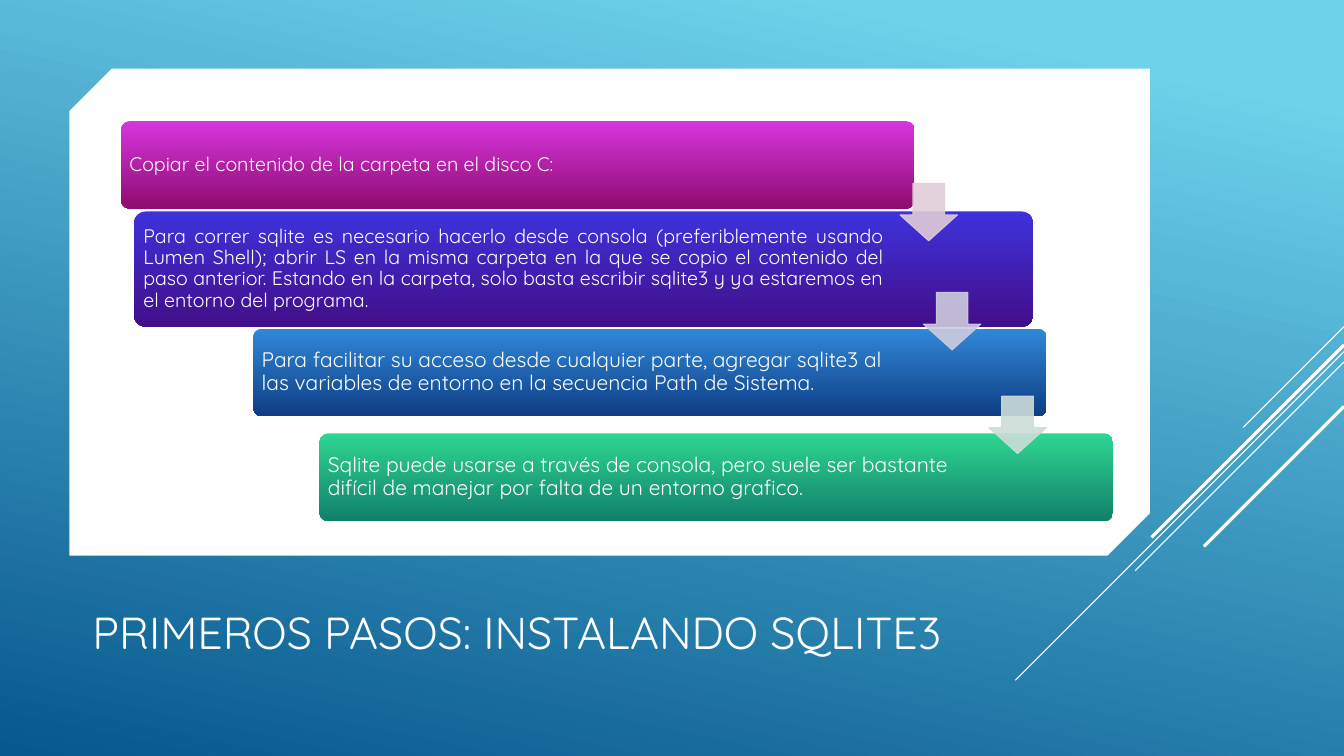
from dataclasses import dataclass

from lxml import etree
from pptx import Presentation
from pptx import util as u
from pptx.dml.color import RGBColor
from pptx.enum import shapes, text
from pptx.oxml.ns import qn

Cm, Pt = u.Cm, u.Pt
Preset = shapes.MSO_SHAPE


@dataclass(frozen=True)
class Theme:
    font: str = "Quicksand"
    white: str = "FFFFFF"
    sky: tuple = ("6ED2EB", "06588E")
    magenta: tuple = ("D835DF", "8D0C6F")
    violet: tuple = ("3E32DC", "420E89")
    blue: tuple = ("3088D8", "0F3D85")
    green: tuple = ("2ED592", "11806A")
    arrows: tuple = ("E1CCD8", "CDCCDF", "CCDDD8")
    title_size: int = 32
    long_step_size: int = 14
    step_size: int = 15
    thin: float = 0.75
    thick: float = 2.25


THEME = Theme()
WIDTH, HEIGHT = 33.87, 19.05
STEP_WIDTH, STEP_HEIGHT = 20, 2.21
ARROW_SIZE = 1.45

# left, top, width, height, right inset, colours, text size, alignment, wording
STEPS = (
    (3.05, 3.05, STEP_WIDTH, STEP_HEIGHT, 2.62, THEME.magenta, THEME.long_step_size,
     text.PP_ALIGN.LEFT, "Copiar el contenido de la carpeta en el disco C:"),
    (3.38, 5.33, 22.66, 2.9, 3.67, THEME.violet, THEME.long_step_size,
     text.PP_ALIGN.JUSTIFY,
     "Para correr sqlite es necesario hacerlo desde consola (preferiblemente "
     "usando Lumen Shell); abrir LS en la misma carpeta en la que se copio el "
     "contenido del paso anterior. Estando en la carpeta, solo basta escribir "
     "sqlite3 y ya estaremos en el entorno del programa."),
    (6.38, 8.28, STEP_WIDTH, STEP_HEIGHT, 3.26, THEME.blue, THEME.step_size,
     text.PP_ALIGN.LEFT,
     "Para facilitar su acceso desde cualquier parte, agregar sqlite3 al las "
     "variables de entorno en la secuencia Path de Sistema."),
    (8.05, 10.92, STEP_WIDTH, STEP_HEIGHT, 3.26, THEME.green, THEME.step_size,
     text.PP_ALIGN.LEFT,
     "Sqlite puede usarse a través de consola, pero suele ser bastante difícil "
     "de manejar por falta de un entorno grafico."),
)
ARROW_CORNERS = ((22.68, 4.62), (23.27, 7.37), (24.92, 9.98))

# top at the right edge, horizontal run, weight
DIAGONALS = (
    (8.23, 2.54, THEME.thin),
    (8.86, 8.28, THEME.thin),
    (9.12, 5.26, THEME.thin),
    (8.69, 4.85, THEME.thick),
    (10.24, 3.53, THEME.thick),
)


def rgb(code):
    return RGBColor.from_string(code)


def add_plain_shape(page, preset, left, top, width, height, adjustments=()):
    box = page.shapes.add_shape(preset, Cm(left), Cm(top), Cm(width), Cm(height))
    box.shadow.inherit = False
    box.line.fill.background()
    for index, value in enumerate(adjustments):
        box.adjustments[index] = value
    return box


def fill_solid(box, color):
    box.fill.solid()
    box.fill.fore_color.rgb = rgb(color)


def fill_gradient(box, colors, start=0, angle=90):
    """Fill from the first to the second colour; the angle runs clockwise."""
    box.fill.gradient()
    box.fill.gradient_angle = 360 - angle
    for stop, color, position in zip(box.fill.gradient_stops, colors, (start, 1)):
        stop.color.rgb = rgb(color)
        stop.position = position


def write_text(box, wording, *, size, anchor, align=text.PP_ALIGN.LEFT,
               spacing=1.0, insets=(0.25, 0.13, 0.25, 0.13)):
    frame = box.text_frame
    frame.word_wrap = True
    frame.vertical_anchor = anchor
    (frame.margin_left, frame.margin_top,
     frame.margin_right, frame.margin_bottom) = map(Cm, insets)
    para = frame.paragraphs[0]
    para.alignment = align
    para.line_spacing = spacing
    span = para.add_run()
    span.text = wording
    span.font.name = THEME.font
    span.font.size = Pt(size)
    span.font.color.rgb = rgb(THEME.white)


def add_step(page, left, top, width, height, right_inset, colors, size, align, wording):
    box = add_plain_shape(page, Preset.ROUNDED_RECTANGLE, left, top, width, height, (0.1,))
    fill_gradient(box, colors)
    write_text(box, wording, size=size, anchor=text.MSO_ANCHOR.MIDDLE, align=align,
               spacing=0.9, insets=(0.15, 0.15, right_inset, 0.15))


def add_step_arrow(page, left, top, color):
    arrow = add_plain_shape(page, Preset.DOWN_ARROW, left, top,
                            ARROW_SIZE, ARROW_SIZE, (0.55, 0.45))
    fill_solid(arrow, color)
    arrow.line.color.rgb = rgb(color)
    arrow.line.width = Pt(THEME.thin)
    for tint in arrow.element.spPr.iter(qn("a:srgbClr")):
        etree.SubElement(tint, qn("a:alpha")).set("val", "90000")


def add_diagonal(page, top, run, weight):
    """Draw a 45-degree line down and left from the right edge."""
    line = page.shapes.add_connector(shapes.MSO_CONNECTOR.STRAIGHT, Cm(WIDTH), Cm(top),
                                     Cm(WIDTH - run), Cm(top + run))
    line.line.color.rgb = rgb(THEME.white)
    line.line.width = Pt(weight)
    etree.SubElement(line.element.spPr, qn("a:effectLst"))


def add_title(page, wording):
    box = page.shapes.add_textbox(Cm(2.08), Cm(14.4), Cm(24.18), Cm(2.34))
    write_text(box, wording, size=THEME.title_size, anchor=text.MSO_ANCHOR.BOTTOM,
               spacing=0.9)


def main():
    deck = Presentation()
    deck.slide_width, deck.slide_height = Cm(WIDTH), Cm(HEIGHT)
    page = deck.slides.add_slide(deck.slide_layouts[6])

    backdrop = add_plain_shape(page, Preset.RECTANGLE, 0, 0, WIDTH, HEIGHT)
    fill_gradient(backdrop, THEME.sky, start=0.1, angle=102)
    add_title(page, "PRIMEROS PASOS: INSTALANDO SQLITE3")
    panel = add_plain_shape(page, Preset.SNIP_2_DIAG_RECTANGLE,
                            1.75, 1.73, 27.23, 12.27, (0.087, 0))
    fill_solid(panel, THEME.white)

    for diagonal in DIAGONALS:
        add_diagonal(page, *diagonal)
    for step in STEPS:
        add_step(page, *step)
    for corner, color in zip(ARROW_CORNERS, THEME.arrows):
        add_step_arrow(page, *corner, color)

    deck.save("out.pptx")


if __name__ == "__main__":
    main()
